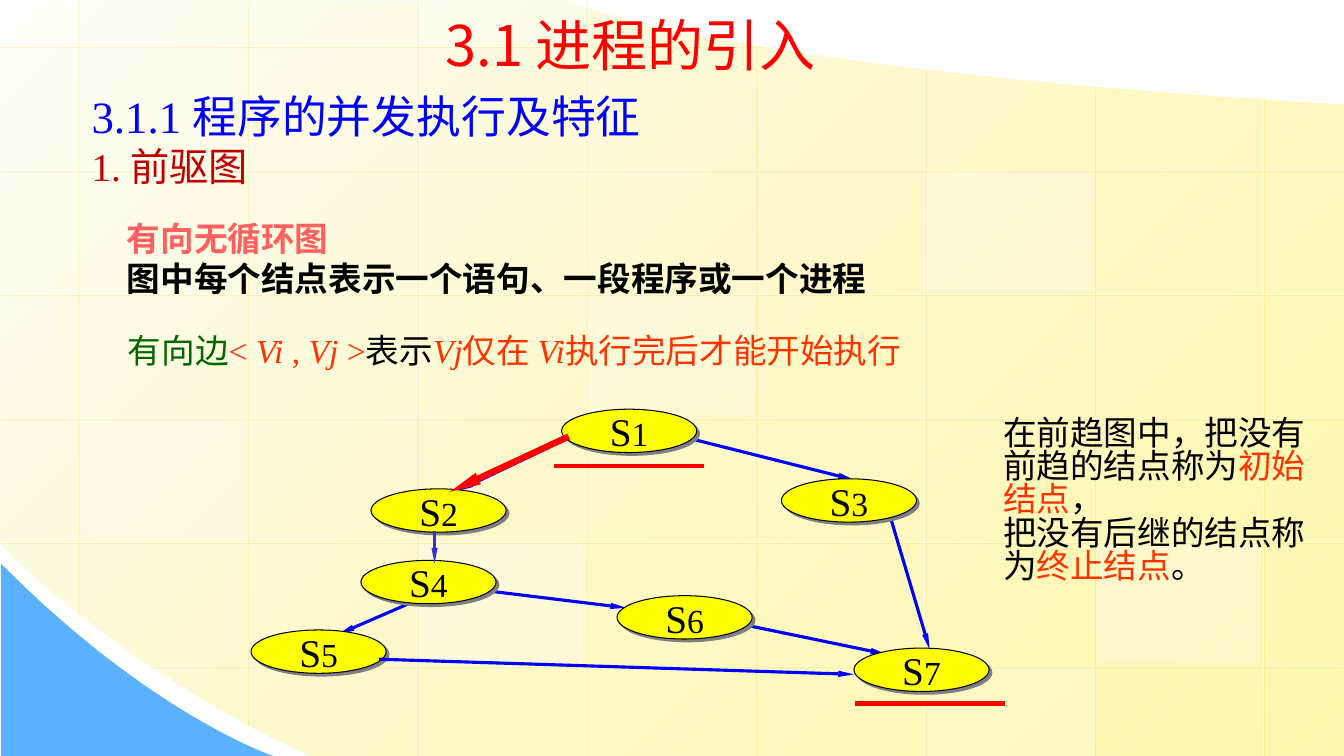
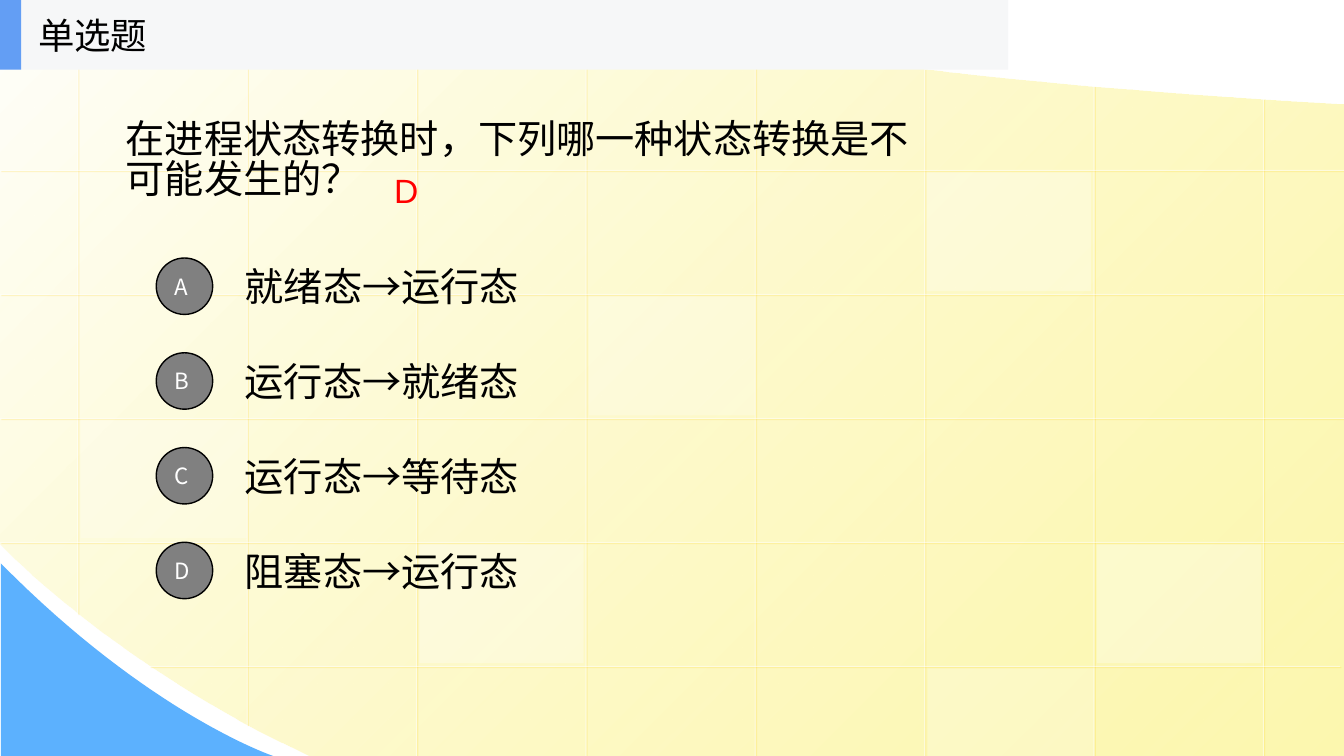
from lxml import etree
from pptx import Presentation
from pptx.dml.color import RGBColor
from pptx.enum.shapes import MSO_CONNECTOR, MSO_SHAPE
from pptx.enum.text import MSO_ANCHOR, PP_ALIGN
from pptx.oxml.ns import qn
from pptx.util import Inches, Pt

STRAIGHT = MSO_CONNECTOR.STRAIGHT
RECT, OVAL = MSO_SHAPE.RECTANGLE, MSO_SHAPE.OVAL
TOP, MIDDLE = MSO_ANCHOR.TOP, MSO_ANCHOR.MIDDLE
LEFT, CENTER = PP_ALIGN.LEFT, PP_ALIGN.CENTER

HAN = "Noto Sans CJK SC"
SERIF = "Times New Roman"
BLACK, WHITE, RED, BLUE = "000000", "FFFFFF", "FF0000", "0000FF"
ORANGE, YELLOW, GREY = "FF3300", "FFFF00", "808080"

TITLE = {"name": HAN, "size": Pt(40)}
HEADING = {"name": SERIF, "size": Pt(32)}
SUBHEADING = {"name": SERIF, "size": Pt(28)}
STRONG = {"name": "Arial", "size": Pt(24), "bold": True}
RULE = {"name": SERIF, "size": Pt(24)}
RULE_ITALIC = RULE | {"italic": True}
NOTE = {"name": HAN, "size": Pt(24)}
CHOICE = {"name": HAN, "size": Pt(28)}
LETTER = {"name": HAN, "size": Pt(16)}
BANNER = {"name": HAN, "size": Pt(26)}
ANSWER = {"name": "Arial", "size": Pt(24)}

NODE_SIZE = (1.34, 0.43)
NODES = {
    "1": (5.57, 4.06), "3": (7.75, 4.75), "7": (8.47, 6.43), "6": (6.12, 5.91),
    "4": (3.58, 5.56), "2": (3.68, 4.85), "5": (2.49, 6.25),
}
EDGES_BEHIND = [
    ((8.84, 5.16), (9.22, 6.44)), ((4.9, 5.87), (6.21, 6.03)),
    ((6.84, 4.35), (8.47, 4.76)), ((7.39, 6.2), (8.79, 6.49)),
    ((4.12, 5.96), (3.36, 6.29)), ((5.63, 4.35), (4.54, 4.87)),
]
EDGES_IN_FRONT = [
    ((3.76, 6.54), (8.47, 6.69), BLUE, 2.25),
    ((4.31, 5.27), (4.31, 5.59), "3333CC", 2.25),
    ((5.64, 4.33), (4.46, 4.88), RED, 4.5),
]
COLUMN_SPANS = [
    (0, 6.09), (0, 7.19), (0, 7.5), (0, 7.5),
    (0.43, 7.5), (0.68, 7.5), (0.85, 7.5), (0.98, 7.5),
]
ROW_SPANS = [(0, 7.57)] + [(0, 13.33)] * 4 + [(1.48, 13.29)]
TILES = [
    (5.84, 2.94, 1.65, 1.18, 25), (10.88, 5.4, 1.63, 1.18, 30),
    (0.8, 4.16, 1.65, 1.18, 20), (9.2, 6.63, 1.65, 0.87, 20),
    (4.15, 0, 1.65, 0.44, 40), (4.16, 5.4, 1.63, 1.18, 30),
    (9.19, 1.71, 1.63, 1.18, 30),
]
CHOICES = ["就绪态→运行态", "运行态→就绪态", "运行态→等待态", "阻塞态→运行态"]


def rgb(color):
    return RGBColor.from_string(color)


def set_alpha(shape, percent):
    color = list(shape.element.spPr.iter(qn("a:srgbClr")))[-1]
    etree.SubElement(color, qn("a:alpha"), val=str(percent * 1000))


def set_effects(shape, shadow=None):
    properties = shape.element.spPr
    effects = properties.find(qn("a:effectLst"))
    if effects is None:
        effects = etree.SubElement(properties, qn("a:effectLst"))
    if shadow:
        color, percent, distance = shadow
        outer = etree.SubElement(effects, qn("a:outerShdw"), dist=str(Pt(distance)),
                                 dir="2700000", algn="ctr", rotWithShape="0")
        etree.SubElement(outer, qn("a:srgbClr"), val=color)
        set_alpha(shape, percent)


def add_line(slide, start, end, color, width, arrow=False, alpha=None, shadow=None):
    points = [Inches(value) for value in (*start, *end)]
    line = slide.shapes.add_connector(STRAIGHT, *points)
    line.line.color.rgb = rgb(color)
    line.line.width = Pt(width)
    if alpha:
        set_alpha(line, alpha)
    if arrow:
        etree.SubElement(line.line._get_or_add_ln(), qn("a:tailEnd"),
                         type="triangle", w="sm", len="lg")
    set_effects(line, shadow)


def add_figure(slide, preset, box, fill, outline=None, alpha=None, shadow=None):
    figure = slide.shapes.add_shape(preset, *[Inches(value) for value in box])
    figure.shadow.inherit = False
    figure.fill.solid()
    figure.fill.fore_color.rgb = rgb(fill)
    if alpha:
        set_alpha(figure, alpha)
    if outline:
        figure.line.color.rgb = rgb(outline[0])
        figure.line.width = Pt(outline[1])
    else:
        figure.line.fill.background()
    set_effects(figure, shadow)
    return figure


def write(shape, paragraphs, wrap=True, anchor=TOP, align=LEFT, spacing=None, gap=0, indent=0):
    frame = shape.text_frame
    frame.word_wrap = wrap
    frame.vertical_anchor = anchor
    for index, runs in enumerate(paragraphs):
        paragraph = frame.add_paragraph() if index else frame.paragraphs[0]
        paragraph.alignment = align
        if spacing:
            paragraph.line_spacing = spacing
        if index and gap:
            paragraph.space_before = Pt(gap)
        if indent:
            paragraph._p.get_or_add_pPr().set("marL", str(Inches(indent)))
        for text, style, color in runs:
            run = paragraph.add_run()
            run.text = text
            for attribute, value in style.items():
                setattr(run.font, attribute, value)
            run.font.color.rgb = rgb(color)
            etree.SubElement(run._r.get_or_add_rPr(), qn("a:ea"), typeface=HAN)


def add_text(slide, box, paragraphs, **layout):
    write(slide.shapes.add_textbox(*[Inches(value) for value in box]), paragraphs, **layout)


def curve(start, first, second, end, steps=32):
    points = []
    for step in range(1, steps + 1):
        t = step / steps
        weights = ((1 - t) ** 3, 3 * t * (1 - t) ** 2, 3 * t ** 2 * (1 - t), t ** 3)
        points.append(tuple(
            sum(weight * point[axis] for weight, point in zip(weights, (start, first, second, end)))
            for axis in (0, 1)))
    return points


def add_outline(slide, points):
    corners = [(Inches(x), Inches(y)) for x, y in points]
    builder = slide.shapes.build_freeform(*corners[0])
    builder.add_line_segments(corners[1:], close=True)
    outline = builder.convert_to_shape()
    outline.shadow.inherit = False
    outline.line.fill.background()
    return outline


def decorate_layout(layout, slide):
    for placeholder in list(layout.placeholders):
        placeholder.element.getparent().remove(placeholder.element)

    lower_left, upper = (3.07, 7.5), (5.61, 0.01)
    field = add_outline(slide, [
        (13.33, 1.04), (13.33, 7.5), lower_left,
        *curve(lower_left, (1.15, 6.61), (-0.01, 5.39), (0, 5.39)),
        (0, 0), upper,
        *curve(upper, upper, (7.15, 0.69), (13.33, 1.04)),
    ])
    field.fill.gradient()
    field.fill.gradient_angle = 315
    for stop, (position, color) in zip(field.fill.gradient_stops, [(0, "FFFFFB"), (1, "FDF58D")]):
        stop.position = position
        stop.color.rgb = rgb(color)
    set_alpha(field, 70)

    foot = (2.71, 7.5)
    corner = add_outline(slide, [(0.01, 7.5), foot, *curve(foot, foot, (1.49, 7.09), (0.01, 5.59))])
    corner.fill.solid()
    corner.fill.fore_color.rgb = rgb("5CB1FE")

    columns = [((0.77 + 1.68 * i, top), (0.77 + 1.68 * i, bottom))
               for i, (top, bottom) in enumerate(COLUMN_SPANS)]
    rows = [((right, 0.46 + 1.23 * i), (left, 0.46 + 1.23 * i))
            for i, (left, right) in enumerate(ROW_SPANS)]
    for start, end in columns + rows:
        add_line(slide, start, end, WHITE, 0.75, alpha=50, shadow=("FFCC00", 34, 1.4))
    for *box, alpha in TILES:
        add_figure(slide, RECT, box, WHITE, alpha=alpha)

    for shape in list(slide.shapes):
        layout.shapes.element.append(shape.element)


def add_node(slide, number, position):
    node = add_figure(slide, OVAL, (*position, *NODE_SIZE), YELLOW,
                      outline=(BLACK, 0.75), shadow=(GREY, 100, 2.8))
    write(node, [[("S", SUBHEADING, BLACK), (number, RULE, BLACK)]],
          wrap=False, anchor=MIDDLE, align=CENTER)


def build_precedence_slide(slide):
    add_text(slide, (0.93, 2.16, 9.12, 1.1), [
        [("有向无循环图", STRONG, "FF6161")],
        [("图中每个结点表示一个语句、一段程序或一个进程", STRONG, BLACK)],
    ], spacing=0.9, gap=2.5, indent=0.23)
    add_text(slide, (0.81, 0.83, 6.46, 1.31), [
        [("3.1.1 程序的并发执行及特征", HEADING, BLUE)],
        [("1. 前驱图", SUBHEADING, "C00000")],
    ])
    add_text(slide, (1.17, 3.25, 8.11, 0.57), [[
        ("有向边", RULE, "006600"), ("<", RULE, ORANGE), (" Vi ", RULE_ITALIC, ORANGE),
        (", ", RULE, ORANGE), ("Vj", RULE_ITALIC, ORANGE), (" >", RULE, ORANGE),
        ("表示", RULE, BLACK), ("Vj", RULE_ITALIC, ORANGE), ("仅在 ", RULE, ORANGE),
        ("Vi", RULE_ITALIC, ORANGE), ("执行完后才能开始执行", RULE, ORANGE),
    ]], spacing=0.95)
    for start, end in EDGES_BEHIND:
        add_line(slide, start, end, BLUE, 2.25, arrow=True)
    for number, position in NODES.items():
        add_node(slide, number, position)
    for start, end, color, width in EDGES_IN_FRONT:
        add_line(slide, start, end, color, width, arrow=True)
    for left, y in [(5.49, 4.62), (8.48, 6.98)]:
        add_line(slide, (left, y), (left + 1.49, y), RED, 3)
    add_text(slide, (4.32, 0.13, 4.77, 0.77), [[("3.1 进程的引入", TITLE, RED)]], spacing=0.9)
    add_text(slide, (9.85, 4.1, 3.25, 2.12), [
        [("在前趋图中，把没有前趋的结点称为", NOTE, BLACK), ("初始结点", NOTE, ORANGE), ("，", NOTE, BLACK)],
        [("把没有后继的结点称为", NOTE, BLACK), ("终止结点", NOTE, ORANGE), ("。", NOTE, BLACK)],
    ], spacing=0.83)


def build_question_slide(slide):
    add_text(slide, (1.15, 0.82, 8, 1.56), [
        [("在进程状态转换时，下列哪一种状态转换是不可能发生的？", CHOICE, BLACK)],
    ], anchor=MIDDLE, spacing=0.86)
    for index, (letter, choice) in enumerate(zip("ABCD", CHOICES)):
        offset = 0.94 * index
        add_text(slide, (2.33, 2.49 + offset, 3.87, 0.7), [[(choice, CHOICE, BLACK)]], anchor=MIDDLE)
        badge = add_figure(slide, OVAL, (1.55, 2.56 + offset, 0.56, 0.56), GREY, outline=(BLACK, 1))
        write(badge, [[(letter, LETTER, WHITE)]], anchor=MIDDLE)
    add_figure(slide, RECT, (0, 0, 10, 0.69), "F6F7F8")
    add_figure(slide, RECT, (0, 0, 0.21, 0.69), "639EF4")
    add_text(slide, (0.28, 0, 2.08, 0.69), [[("单选题", BANNER, BLACK)]], wrap=False, anchor=MIDDLE)
    add_text(slide, (3.81, 1.64, 1.42, 0.5), [[("D", ANSWER, RED)]])


def main():
    deck = Presentation()
    deck.slide_width, deck.slide_height = Inches(13.33), Inches(7.5)
    blank = deck.slide_layouts[6]
    precedence = deck.slides.add_slide(blank)
    decorate_layout(blank, precedence)
    build_precedence_slide(precedence)
    build_question_slide(deck.slides.add_slide(blank))
    deck.save("out.pptx")


if __name__ == "__main__":
    main()
